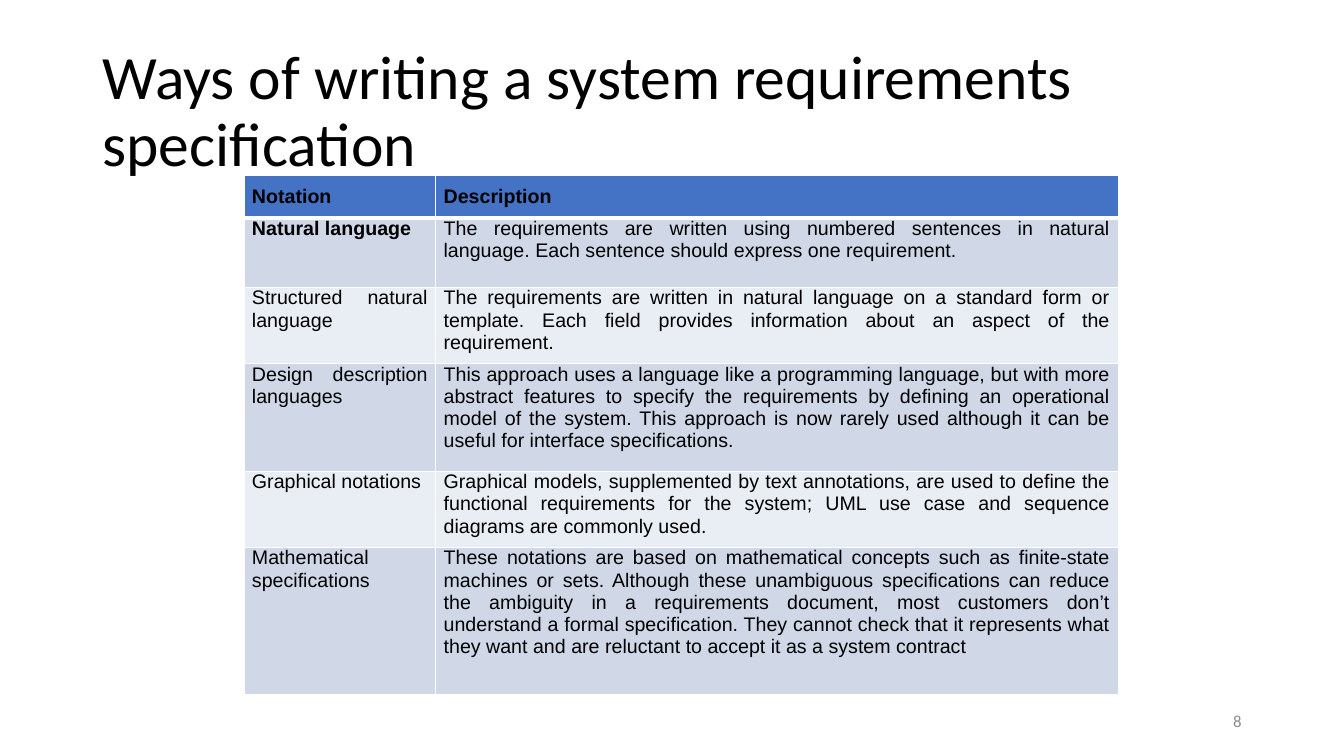
from dataclasses import dataclass

from lxml import etree
from pptx import Presentation
from pptx.dml.color import RGBColor
from pptx.enum.text import MSO_ANCHOR, MSO_AUTO_SIZE, PP_ALIGN
from pptx.oxml.ns import qn
from pptx.util import Cm, Pt

LEFT, RIGHT, JUSTIFY = PP_ALIGN.LEFT, PP_ALIGN.RIGHT, PP_ALIGN.JUSTIFY
TOP, MIDDLE = MSO_ANCHOR.TOP, MSO_ANCHOR.MIDDLE
NO_AUTOFIT = MSO_AUTO_SIZE.NONE
TITLE_ONLY = 5


@dataclass(frozen=True)
class Theme:
    title_font: str = "Calibri"
    table_font: str = "Arial"
    title_size: int = 44
    table_size: int = 14
    number_size: int = 12
    text: str = "000000"
    number: str = "8C8C8C"
    header: str = "4472C4"
    bands: tuple = ("D0D8E8", "E9EDF4")
    border: str = "FFFFFF"
    thin: int = 1
    thick: int = 3


THEME = Theme()

HEADER = ("Notation", "Description")
NOTATIONS = [
    ("Natural language",
     "The requirements are written using numbered sentences in natural language. "
     "Each sentence should express one requirement."),
    ("Structured natural language ",
     "The requirements are written in natural language on a standard form or template. "
     "Each field provides information about an aspect of the requirement."),
    ("Design description languages",
     "This approach uses a language like a programming language, but with more abstract "
     "features to specify the requirements by defining an operational model of the system. "
     "This approach is now rarely used although it can be useful for interface specifications."),
    ("Graphical notations",
     "Graphical models, supplemented by text annotations, are used to define the functional "
     "requirements for the system; UML use case and sequence diagrams are commonly used."),
    ("Mathematical specifications",
     "These notations are based on mathematical concepts such as finite-state machines or sets. "
     "Although these unambiguous specifications can reduce the ambiguity in a requirements "
     "document, most customers don’t understand a formal specification. They cannot check that "
     "it represents what they want and are reluctant to accept it as a system contract"),
]
COL_WIDTHS = (4.83, 17.2)
ROW_HEIGHTS = (1.02, 1.75, 1.75, 2.72, 1.75, 3.71)


def write(tf, text, font, size, color, align, bold=False):
    p = tf.paragraphs[0]
    p.alignment = align
    r = p.add_run()
    r.text = text
    r.font.name = font
    r.font.size = Pt(size)
    r.font.bold = bold
    r.font.color.rgb = RGBColor.from_string(color)
    return p


def add_title(s, text):
    sp = s.shapes.title
    sp.left, sp.top, sp.width, sp.height = Cm(2.33), Cm(1.01), Cm(29.21), Cm(3.68)
    tf = sp.text_frame
    tf.word_wrap = True
    tf.auto_size = NO_AUTOFIT
    tf.vertical_anchor = MIDDLE
    p = write(tf, text, THEME.title_font, THEME.title_size, THEME.text, LEFT)
    p.line_spacing = 0.9


def add_slide_number(s, number):
    sp = s.shapes.add_textbox(Cm(23.92), Cm(17.65), Cm(7.62), Cm(1.01))
    tf = sp.text_frame
    tf.word_wrap = True
    tf.vertical_anchor = MIDDLE
    write(tf, number, THEME.title_font, THEME.number_size, THEME.number, RIGHT)


def set_borders(cell, top, bottom):
    tc_pr = cell._tc.get_or_add_tcPr()
    widths = {"L": THEME.thin, "R": THEME.thin, "T": top, "B": bottom}
    for side, width in widths.items():
        ln = etree.SubElement(tc_pr, qn(f"a:ln{side}"), w=str(Pt(width)))
        fill = etree.SubElement(ln, qn("a:solidFill"))
        etree.SubElement(fill, qn("a:srgbClr"), val=THEME.border)


def format_cell(cell, row, col, text):
    is_header = row == 0
    # Borders come before the fill in the cell properties
    set_borders(cell,
                top=THEME.thick if row == 1 else THEME.thin,
                bottom=THEME.thick if is_header else THEME.thin)
    cell.fill.solid()
    fill = THEME.header if is_header else THEME.bands[(row - 1) % 2]
    cell.fill.fore_color.rgb = RGBColor.from_string(fill)
    cell.margin_left = cell.margin_right = Cm(0.2)
    cell.margin_top = Cm(0.25 if is_header else 0)
    cell.margin_bottom = Cm(0.25)
    cell.vertical_anchor = TOP
    write(cell.text_frame, text, THEME.table_font, THEME.table_size, THEME.text,
          LEFT if (row, col) == (0, 0) else JUSTIFY,
          bold=is_header or (row, col) == (1, 0))


def add_notation_table(s):
    rows = [HEADER, *NOTATIONS]
    frame = s.shapes.add_table(len(rows), len(HEADER), Cm(6.15), Cm(4.43),
                               Cm(sum(COL_WIDTHS)), Cm(sum(ROW_HEIGHTS)))
    table = frame.table
    for column, width in zip(table.columns, COL_WIDTHS):
        column.width = Cm(width)
    for row, height in zip(table.rows, ROW_HEIGHTS):
        row.height = Cm(height)
    for i, texts in enumerate(rows):
        for j, text in enumerate(texts):
            format_cell(table.cell(i, j), i, j, text)


def main():
    prs = Presentation()
    prs.slide_width, prs.slide_height = Cm(33.87), Cm(19.05)
    s = prs.slides.add_slide(prs.slide_layouts[TITLE_ONLY])

    # Title, table of notations, slide number
    add_title(s, "Ways of writing a system requirements specification")
    add_notation_table(s)
    add_slide_number(s, "8")

    prs.save("out.pptx")


if __name__ == "__main__":
    main()
